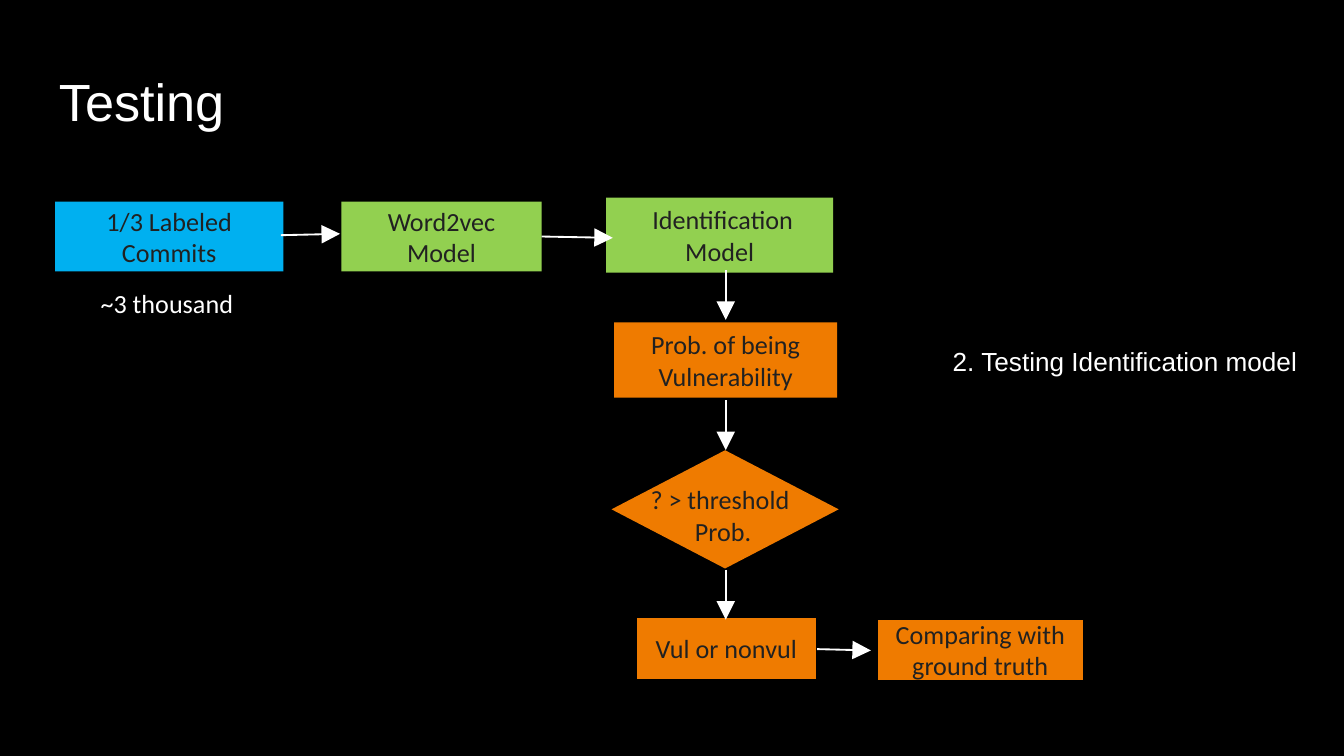
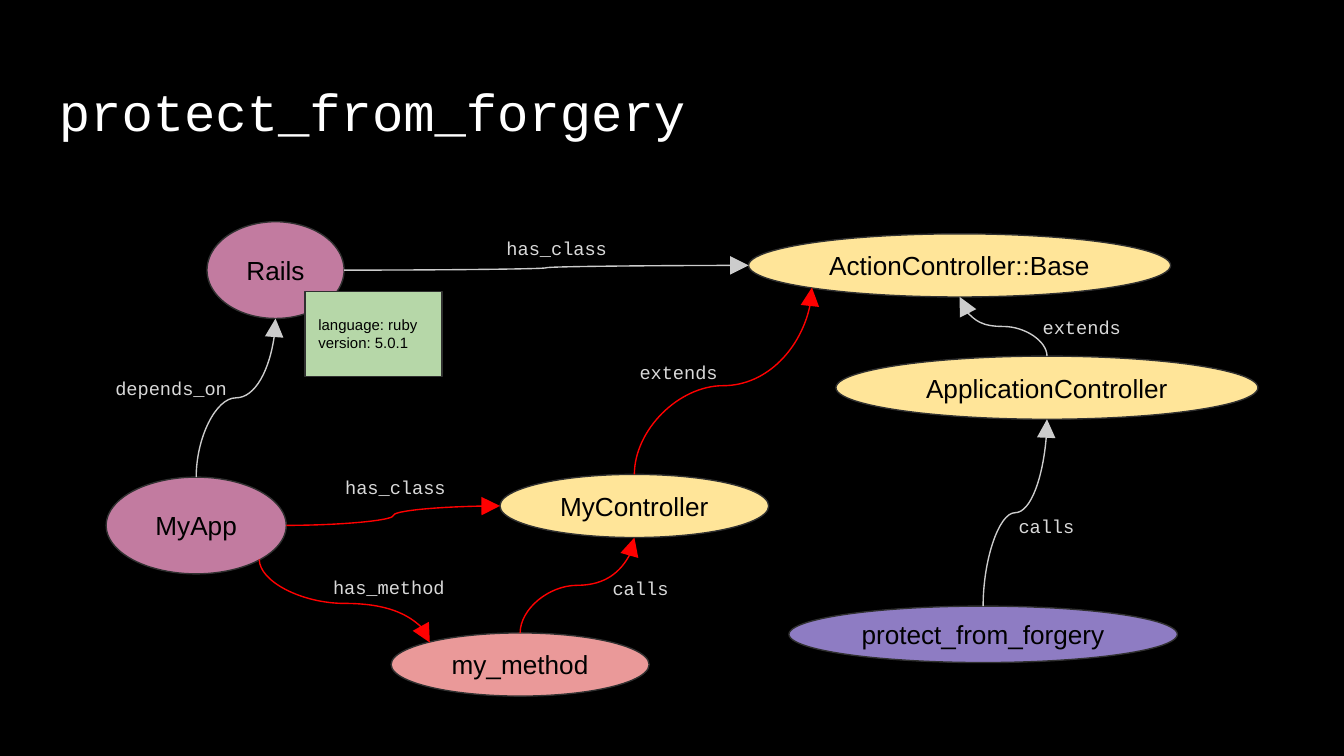
from lxml import etree
from pptx import Presentation
from pptx.dml.color import RGBColor
from pptx.enum.shapes import MSO_CONNECTOR, MSO_SHAPE
from pptx.enum.text import MSO_ANCHOR, PP_ALIGN
from pptx.oxml.ns import qn
from pptx.util import Inches, Pt

RECT, OVAL = MSO_SHAPE.RECTANGLE, MSO_SHAPE.OVAL
PROCESS, DECISION = MSO_SHAPE.FLOWCHART_PROCESS, MSO_SHAPE.FLOWCHART_DECISION
STRAIGHT, CURVE = MSO_CONNECTOR.STRAIGHT, MSO_CONNECTOR.CURVE
TOP, MIDDLE = MSO_ANCHOR.TOP, MSO_ANCHOR.MIDDLE
LEFT, CENTER = PP_ALIGN.LEFT, PP_ALIGN.CENTER

WIDTH = Inches(10)
HEIGHT = WIDTH * 9 // 16

COLORS = {
    "black": "000000", "white": "FFFFFF", "ink": "212121", "outline": "303030",
    "blue": "00B0F0", "lime": "92D050", "orange": "EF7B00",
    "mauve": "C27BA0", "yellow": "FFE599", "purple": "8E7CC3",
    "pink": "EA9999", "sage": "B6D7A8",
    "red": "FF0000", "gray": "CCCCCC", "label": "D9D9D9",
}
STYLES = {
    "title": {"size": 28, "name": "Arial", "color": "white"},
    "code_title": {"size": 28, "name": "Courier New", "color": "white"},
    "caption": {"size": 14, "name": "Arial", "color": "white"},
    "step": {"size": 14, "name": "Calibri", "color": "ink"},
    "step_note": {"size": 14, "name": "Calibri", "color": "white"},
    "node": {"size": 14, "name": "Arial", "color": "black"},
    "note": {"size": 8, "name": "Arial", "color": "black"},
    "edge": {"size": 10, "name": "Courier New", "color": "label"},
}

STEPS = [
    ("1/3 Labeled Commits", RECT, "blue", (0.41, 1.5, 1.7, 0.52)),
    ("Word2vec Model", RECT, "lime", (2.54, 1.5, 1.49, 0.52)),
    (" Identification Model", RECT, "lime", (4.51, 1.47, 1.69, 0.56)),
    ("Prob. of being Vulnerability", RECT, "orange", (4.57, 2.4, 1.66, 0.56)),
    ("", DECISION, "orange", (4.55, 3.35, 1.69, 0.88)),
    ("Vul or nonvul", PROCESS, "orange", (4.74, 4.6, 1.33, 0.45)),
    ("Comparing with ground truth", PROCESS, "orange", (6.53, 4.61, 1.53, 0.45)),
]
STEP_TEXTS = [
    ("2. Testing Identification model", "caption", LEFT, (6.99, 2.52, 2.91, 0.34)),
    ("~3 thousand", "step_note", LEFT, (0.65, 2.09, 1.37, 0.33)),
    ("? > threshold \vProb.", "step", CENTER, (4.45, 3.55, 1.86, 0.56)),
]
ACROSS = [
    ((2.09, 1.75), (2.53, 1.74)),
    ((4.03, 1.76), (4.56, 1.77)),
    ((6.08, 4.83), (6.48, 4.84)),
]
AXIS, DROP = 5.4, 0.37
DOWN = [((AXIS, y), (AXIS, y + DROP)) for y in (2.01, 2.98, 4.24)]

NODES = {
    "Rails": ("mauve", (1.54, 1.65, 1.02, 0.72)),
    "MyApp": ("mauve", (0.79, 3.55, 1.34, 0.72)),
    "ActionController::Base": ("yellow", (5.57, 1.74, 3.14, 0.47)),
    "protect_from_forgery": ("purple", (5.87, 4.51, 2.89, 0.42)),
    "my_method": ("pink", (2.91, 4.71, 1.92, 0.47)),
    "ApplicationController": ("yellow", (6.22, 2.65, 3.14, 0.47)),
    "MyController": ("yellow", (3.72, 3.53, 2, 0.47)),
}
NEAR, FAR = 0.15, 0.85
SITES = {
    "top": (0.5, 0), "bottom": (0.5, 1), "left": (0, 0.5), "right": (1, 0.5),
    "top left": (NEAR, NEAR), "bottom left": (NEAR, FAR), "bottom right": (FAR, FAR),
}
EDGES = [
    ("MyApp", "bottom right", "my_method", "top left", "red", 53,
     "has_method", (2.38, 4.19)),
    ("MyApp", "right", "MyController", "left", "red", 50, "has_class", (2.47, 3.45)),
    ("Rails", "right", "ActionController::Base", "left", "gray", 50,
     "has_class", (3.67, 1.67)),
    ("MyController", "top", "ActionController::Base", "bottom left", "red", 47.5,
     "extends", (4.66, 2.59)),
    ("ApplicationController", "top", "ActionController::Base", "bottom", "gray", 50,
     "extends", (7.66, 2.26)),
    ("protect_from_forgery", "top", "ApplicationController", "bottom", "gray", 50,
     "calls", (7.48, 3.74)),
    ("my_method", "top", "MyController", "bottom", "red", 50, "calls", (4.46, 4.2)),
    ("MyApp", "top", "Rails", "bottom", "gray", 50, "depends_on", (0.76, 2.71)),
]
NOTE = ("language: ruby\nversion: 5.0.1", (2.27, 2.17, 1.02, 0.63))


def rgb(name):
    return RGBColor.from_string(COLORS[name])


def write(sp, text, style, align=LEFT, anchor=TOP, inset=0.1, top=None):
    tf = sp.text_frame
    margins = {"margin_left": 0.1, "margin_right": 0.1,
               "margin_top": inset if top is None else top, "margin_bottom": inset}
    for key, value in margins.items():
        setattr(tf, key, Inches(value))
    tf.word_wrap = True
    tf.vertical_anchor = anchor
    tf.text = text
    fmt = STYLES[style]
    for p in tf.paragraphs:
        p.alignment = align
        for r in p.runs:
            for key, value in {"size": Pt(fmt["size"]), "name": fmt["name"]}.items():
                setattr(r.font, key, value)
            r.font.color.rgb = rgb(fmt["color"])


def add_text(s, text, style, box, **fmt):
    sp = s.shapes.add_textbox(*map(Inches, box))
    write(sp, text, style, **fmt)
    return sp


def add_box(s, kind, fill, box, outline=None):
    sp = s.shapes.add_shape(kind, *map(Inches, box))
    sp.shadow.inherit = False
    sp.fill.solid()
    sp.fill.fore_color.rgb = rgb(fill)
    if outline:
        sp.line.color.rgb = rgb(outline)
        sp.line.width = Pt(0.75)
    else:
        sp.line.fill.background()
    return sp


def add_arrow(s, kind, start, end, color, width):
    c = s.shapes.add_connector(kind, *map(Inches, (*start, *end)))
    c.line.color.rgb = rgb(color)
    c.line.width = Pt(width)
    sp_pr = c._element.spPr
    etree.SubElement(sp_pr.find(qn("a:ln")), qn("a:tailEnd"),
                     type="triangle", w="lg", len="lg")
    etree.SubElement(sp_pr, qn("a:effectLst"))
    return c


def add_curve(s, start, end, upright, color, bend):
    (x1, y1), (x2, y2) = start, end
    turn = 0
    if upright:
        cx, cy = (x1 + x2) / 2, (y1 + y2) / 2
        sign = 1 if y2 > y1 else -1
        half_w, half_h = abs(y2 - y1) / 2, sign * (x1 - x2) / 2
        start, end = (cx - half_w, cy - half_h), (cx + half_w, cy + half_h)
        turn = 90 if sign > 0 else 270
    c = add_arrow(s, CURVE, start, end, color, 0.75)
    sp_pr = c._element.spPr
    if turn:
        sp_pr.find(qn("a:xfrm")).set("rot", str(turn * 60000))
    geom = sp_pr.find(qn("a:prstGeom"))
    guides = geom.find(qn("a:avLst"))
    if guides is None:
        guides = etree.SubElement(geom, qn("a:avLst"))
    etree.SubElement(guides, qn("a:gd"), name="adj1", fmla=f"val {round(bend * 1000)}")


def site_point(node, site):
    x, y, w, h = NODES[node][1]
    fx, fy = SITES[site]
    return x + fx * w, y + fy * h


def new_slide(prs, title, style):
    s = prs.slides.add_slide(prs.slide_layouts[6])
    s.background.fill.solid()
    s.background.fill.fore_color.rgb = rgb("black")
    return s, add_text(s, title, style, (0.34, 0.49, 9.32, 0.63))


def build_testing(prs):
    s, title = new_slide(prs, "Testing", "title")
    title.text_frame.paragraphs[0].line_spacing = 0.85
    for text, kind, fill, box in STEPS:
        sp = add_box(s, kind, fill, box)
        if text:
            write(sp, text, "step", CENTER, MIDDLE, 0.05)
    for text, style, align, box in STEP_TEXTS:
        add_text(s, text, style, box, align=align, inset=0.05)
    for start, end in ACROSS + DOWN:
        add_arrow(s, STRAIGHT, start, end, "white", 1)


def build_forgery(prs):
    s, _ = new_slide(prs, "protect_from_forgery", "code_title")
    for name, (fill, box) in NODES.items():
        write(add_box(s, OVAL, fill, box, "outline"), name, "node", CENTER, MIDDLE)
    for source, leave, target, arrive, color, bend, label, at in EDGES:
        add_curve(s, site_point(source, leave), site_point(target, arrive),
                  leave != "right", color, bend)
        width = max(0.95, 0.24 + len(label) / 12)
        add_text(s, label, "edge", (*at, width, 0.47), top=0.12)
    text, box = NOTE
    write(add_box(s, RECT, "sage", box, "outline"), text, "note", LEFT, MIDDLE)


def main():
    prs = Presentation()
    prs.slide_width, prs.slide_height = WIDTH, HEIGHT
    build_testing(prs)
    build_forgery(prs)
    prs.save("out.pptx")


if __name__ == "__main__":
    main()
